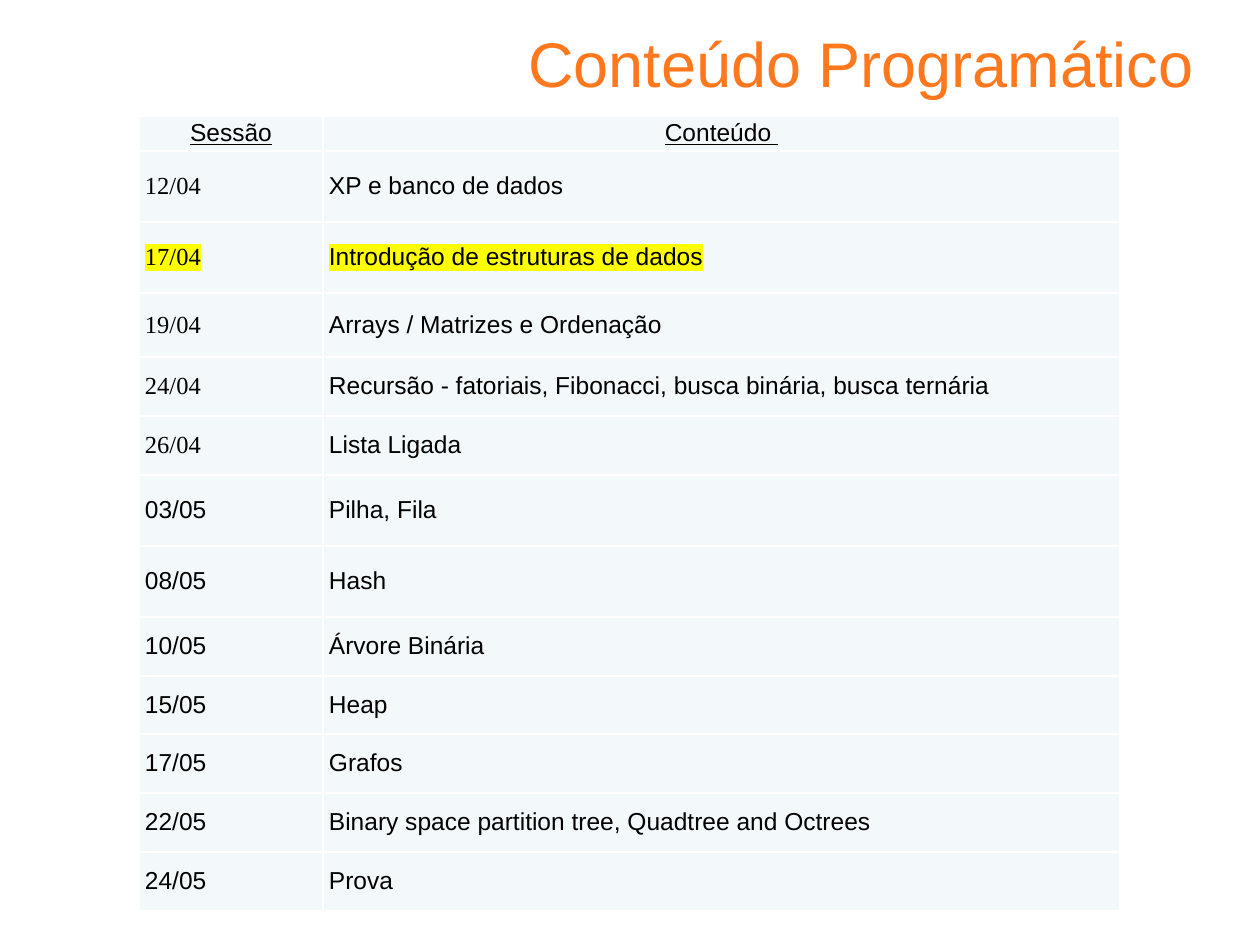
from dataclasses import dataclass

from lxml.etree import SubElement
from pptx import Presentation
from pptx.dml.color import RGBColor as RGB
from pptx.enum.text import MSO_ANCHOR as ANCHOR, MSO_AUTO_SIZE as AUTO_SIZE, PP_ALIGN as ALIGN
from pptx.oxml.ns import qn
from pptx.util import Pt

PX = 914400 // 126


@dataclass(frozen=True)
class Theme:
    orange: str = "FF781D"
    ink: str = "000000"
    cell: str = "F3F9FA"
    rule: str = "FFFFFF"
    marker: str = "FFFF00"
    sans: str = "Arial"
    serif: str = "Times New Roman"
    title_size: int = 36
    body_size: int = 14
    rule_width: int = 1


THEME = Theme()

HEADINGS = ("Sessão", "Conteúdo ")
# Date, topic, row height in pixels
SESSIONS = [
    ("12/04", "XP e banco de dados", 71),
    ("17/04", "Introdução de estruturas de dados", 71),
    ("19/04", "Arrays / Matrizes e Ordenação", 64),
    ("24/04", "Recursão - fatoriais, Fibonacci, busca binária, busca ternária", 59),
    ("26/04", "Lista Ligada", 59),
    ("03/05", "Pilha, Fila", 71),
    ("08/05", "Hash", 71),
    ("10/05", "Árvore Binária", 59),
    ("15/05", "Heap", 58),
    ("17/05", "Grafos", 59),
    ("22/05", "Binary space partition tree, Quadtree and Octrees", 59),
    ("24/05", "Prova", 59),
]
HEADING_HEIGHT = 35
COLUMN_WIDTHS = (184, 797)
HIGHLIGHTED_DATE = "17/04"


def px(*lengths):
    return [length * PX for length in lengths]


def apply(target, formats):
    for name, value in formats.items():
        setattr(target, name, value)


def write(frame, text, align, color, highlight=None, **font):
    paragraph = frame.paragraphs[0]
    paragraph.alignment = align
    run = paragraph.add_run()
    run.text = text
    run.font.color.rgb = RGB.from_string(color)
    apply(run.font, font)
    if highlight:
        mark = SubElement(run.font._element, qn("a:highlight"))
        SubElement(mark, qn("a:srgbClr"), val=highlight)
        run.font._element.find(qn("a:latin")).addprevious(mark)


def add_title(slide, text):
    title = slide.shapes.add_textbox(*px(302, 18, 904, 88))
    apply(title.text_frame, {"word_wrap": True, "auto_size": AUTO_SIZE.SHAPE_TO_FIT_TEXT})
    write(title.text_frame, text, ALIGN.RIGHT, THEME.orange,
          name=THEME.sans, size=Pt(THEME.title_size))


def style_cell(cell):
    inset = 6 * PX
    apply(cell, {"margin_left": inset, "margin_right": inset, "margin_top": 0,
                 "margin_bottom": 0, "vertical_anchor": ANCHOR.MIDDLE})
    # Borders come before the fill in the cell properties
    properties = cell._tc.get_or_add_tcPr()
    for side in ("lnL", "lnR", "lnT", "lnB"):
        border = SubElement(properties, qn(f"a:{side}"), w=str(Pt(THEME.rule_width)))
        paint = SubElement(border, qn("a:solidFill"))
        SubElement(paint, qn("a:srgbClr"), val=THEME.rule)
    cell.fill.solid()
    cell.fill.fore_color.rgb = RGB.from_string(THEME.cell)


def fill_cell(cell, text, align, **look):
    style_cell(cell)
    write(cell.text_frame, text, align, THEME.ink, size=Pt(THEME.body_size), **look)


def add_schedule(slide):
    heights = [HEADING_HEIGHT] + [height for _, _, height in SESSIONS]
    schedule = slide.shapes.add_table(
        len(heights), len(COLUMN_WIDTHS),
        *px(139, 116, sum(COLUMN_WIDTHS), sum(heights))).table
    apply(schedule, {"first_row": False, "horz_banding": False})
    for column, width in zip(schedule.columns, COLUMN_WIDTHS):
        column.width = width * PX
    for row, height in zip(schedule.rows, heights):
        row.height = height * PX

    # Heading row
    for column, heading in enumerate(HEADINGS):
        fill_cell(schedule.cell(0, column), heading, ALIGN.CENTER,
                  name=THEME.sans, underline=True)

    # Sessions: April dates are set in the serif face
    for row, (date, topic, _) in enumerate(SESSIONS, start=1):
        highlight = THEME.marker if date == HIGHLIGHTED_DATE else None
        date_font = THEME.serif if date.endswith("/04") else THEME.sans
        for column, (text, font) in enumerate(((date, date_font), (topic, THEME.sans))):
            fill_cell(schedule.cell(row, column), text, ALIGN.JUSTIFY,
                      name=font, highlight=highlight)


def main():
    deck = Presentation()
    apply(deck, {"slide_width": 1260 * PX, "slide_height": 945 * PX})
    slide = deck.slides.add_slide(deck.slide_layouts[6])
    add_title(slide, "Conteúdo Programático")
    add_schedule(slide)
    deck.save("out.pptx")


main()
